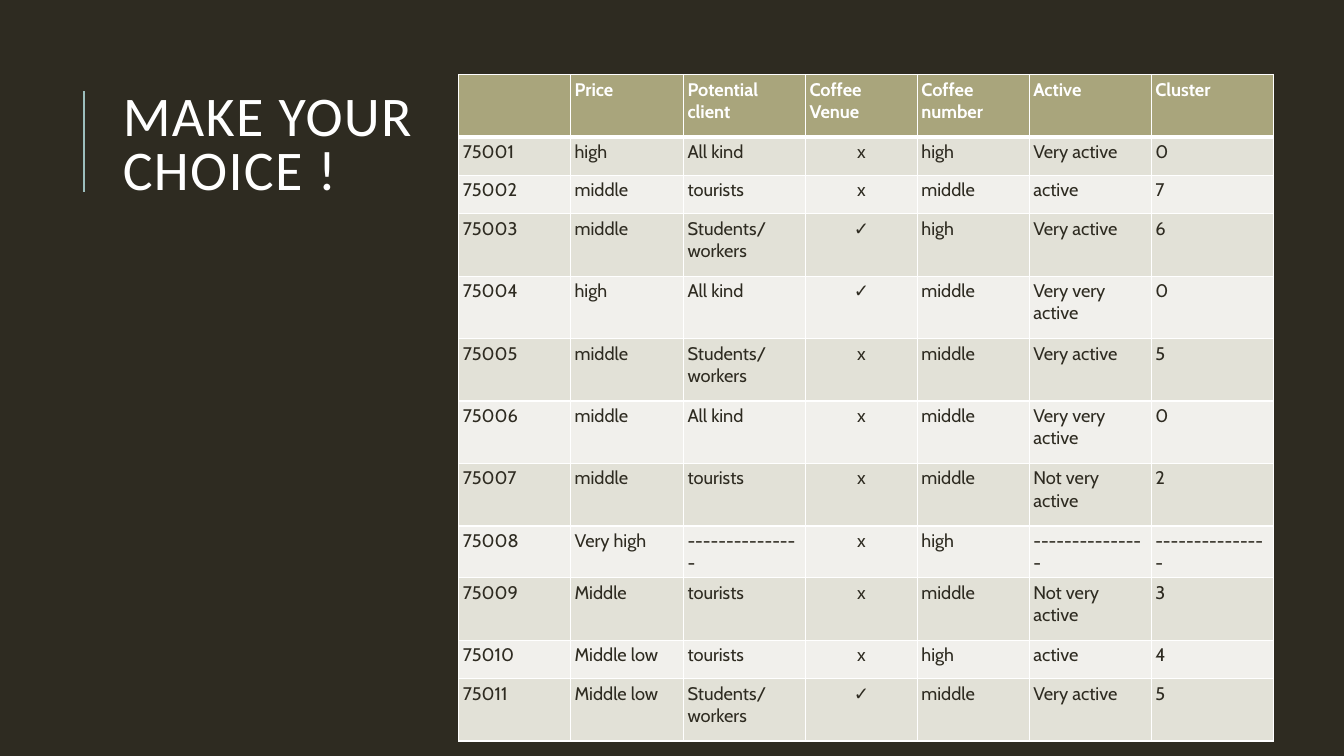
from dataclasses import dataclass

from lxml.etree import SubElement
from pptx import Presentation
from pptx.dml.color import RGBColor as RGB
from pptx.enum.shapes import MSO_CONNECTOR as Connector
from pptx.enum.text import MSO_ANCHOR as Anchor, PP_ALIGN as Align
from pptx.oxml.ns import qn
from pptx.util import Inches, Pt


@dataclass(frozen=True)
class Theme:
    background: RGB = RGB.from_string("2E2B21")
    light: RGB = RGB.from_string("FFFFFF")
    accent: RGB = RGB.from_string("9CBEBD")
    header: RGB = RGB.from_string("A9A57C")
    odd_band: RGB = RGB.from_string("E2E1D7")
    even_band: RGB = RGB.from_string("F1F0EC")
    title_font: str = "Calibri"
    table_font: str = "Cabin"
    title_size: int = 40
    table_size: int = 13
    thin: int = 1
    thick: int = 3


THEME = Theme()
DASHES = "-" * 15
STUDENTS = "Students/\nworkers"
HEADINGS = ("", "Price", "Potential client", "Coffee Venue", "Coffee number", "Active", "Cluster")
DISTRICTS = (
    ("75001", "high", "All kind", "x", "high", "Very active", "0"),
    ("75002", "middle", "tourists", "x", "middle", "active", "7"),
    ("75003", "middle", STUDENTS, "✓", "high", "Very active", "6"),
    ("75004", "high", "All kind", "✓", "middle", "Very very active", "0"),
    ("75005", "middle", STUDENTS, "x", "middle", "Very active", "5"),
    ("75006", "middle", "All kind", "x", "middle", "Very very active", "0"),
    ("75007", "middle", "tourists", "x", "middle", "Not very active", "2"),
    ("75008", "Very high", DASHES, "x", "high", DASHES, DASHES),
    ("75009", "Middle", "tourists", "x", "middle", "Not very active", "3"),
    ("75010", "Middle low", "tourists", "x", "high", "active", "4"),
    ("75011", "Middle low", STUDENTS, "✓", "middle", "Very active", "5"),
)
SHORT_DISTRICTS = {"75001", "75002", "75008", "75010"}
COLUMN_WIDTHS = (1.11, 1.12, 1.21, 1.11, 1.11, 1.21, 1.21)
VENUE_COLUMN = HEADINGS.index("Coffee Venue")
CELL_INSET = Inches(0.04)


def style_font(font, name, size, color, bold=False):
    font.name = name
    font.size = Pt(size)
    font.bold = bold
    font.color.rgb = color


def add_title(slide, left, top, width, height):
    title = slide.shapes.add_textbox(Inches(left), Inches(top), Inches(width), Inches(height))
    frame = title.text_frame
    frame.word_wrap = True
    frame.vertical_anchor = Anchor.MIDDLE
    paragraph = frame.paragraphs[0]
    run = paragraph.add_run()
    run.text = "MAKE YOUR CHOICE !"
    run._r.get_or_add_rPr().set("spc", "100")
    paragraph.line_spacing = 0.8
    style_font(paragraph.font, THEME.title_font, THEME.title_size, THEME.light)

    rule_x = Inches(left - 0.29)
    rule = slide.shapes.add_connector(
        Connector.STRAIGHT, rule_x, Inches(top + 1.26), rule_x, Inches(top + 0.26))
    rule.line.color.rgb = THEME.accent
    rule.line.width = Pt(1.5)
    SubElement(rule._element.spPr, qn("a:effectLst"))


def add_borders(cell, top, bottom):
    properties = cell._tc.get_or_add_tcPr()
    widths = {"lnL": THEME.thin, "lnR": THEME.thin, "lnT": top, "lnB": bottom}
    for side, width in widths.items():
        border = SubElement(properties, qn(f"a:{side}"), w=str(Pt(width)))
        fill = SubElement(border, qn("a:solidFill"))
        SubElement(fill, qn("a:srgbClr"), val=str(THEME.light))


def fill_cell(cell, text, row, column):
    is_header = row == 0
    add_borders(cell,
                THEME.thick if row == 1 else THEME.thin,
                THEME.thick if is_header else THEME.thin)
    band = THEME.odd_band if row % 2 else THEME.even_band
    cell.fill.solid()
    cell.fill.fore_color.rgb = THEME.header if is_header else band
    cell.margin_left = cell.margin_right = CELL_INSET
    cell.margin_top = cell.margin_bottom = CELL_INSET
    cell.text = text
    for paragraph in cell.text_frame.paragraphs:
        if column == VENUE_COLUMN and not is_header:
            paragraph.alignment = Align.CENTER
        style_font(paragraph.font, THEME.table_font, THEME.table_size,
                   THEME.light if is_header else THEME.background, is_header)


def add_district_table(slide, left, top, width, height):
    rows = (HEADINGS, *DISTRICTS)
    table = slide.shapes.add_table(
        len(rows), len(HEADINGS), Inches(left), Inches(top), Inches(width), Inches(height)).table
    for column, column_width in zip(table.columns, COLUMN_WIDTHS):
        column.width = Inches(column_width)
    for row, values in enumerate(rows):
        table.rows[row].height = Inches(0.38 if values[0] in SHORT_DISTRICTS else 0.62)
        for column, text in enumerate(values):
            fill_cell(table.cell(row, column), text, row, column)


def main():
    presentation = Presentation()
    presentation.slide_width = Inches(13.33)
    presentation.slide_height = Inches(7.5)
    slide = presentation.slides.add_slide(presentation.slide_layouts[6])
    slide.background.fill.solid()
    slide.background.fill.fore_color.rgb = THEME.background
    add_title(slide, 1.12, 0.64, 3.43, 1.64)
    add_district_table(slide, 4.55, 0.74, 8.09, 6.45)
    presentation.save("out.pptx")


if __name__ == "__main__":
    main()
